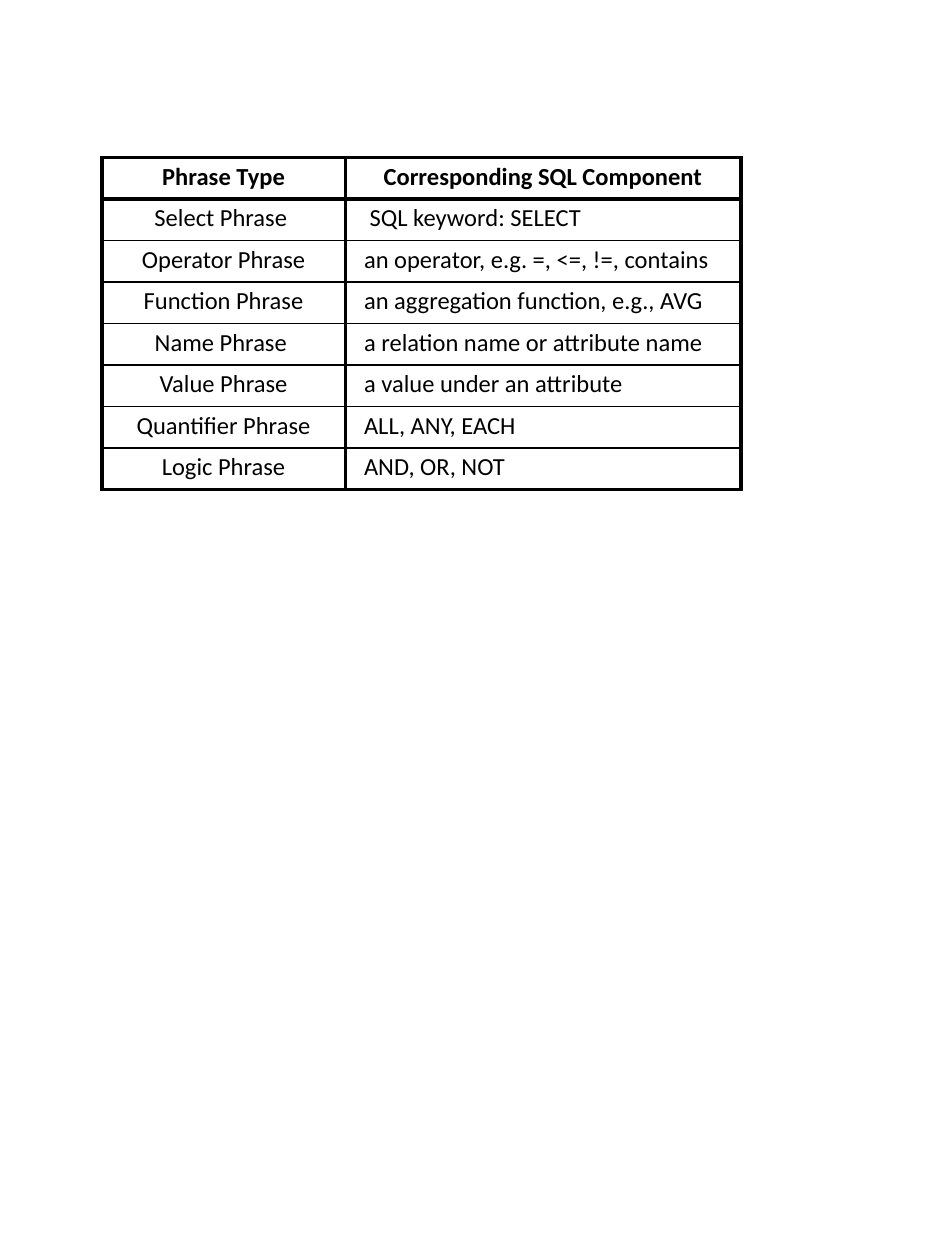
from typing import NamedTuple

from lxml.etree import SubElement
from pptx import Presentation
from pptx.dml.color import RGBColor
from pptx.enum.text import MSO_ANCHOR, PP_ALIGN
from pptx.oxml.ns import qn
from pptx.table import Table, _Cell
from pptx.util import Inches, Pt

BLACK = RGBColor(0, 0, 0)
WHITE = RGBColor(255, 255, 255)
FONT = "Calibri"
THICK, THIN = 2.25, 1
WIDTHS = (1.93, 3.14)
HEIGHT = 0.32
INSET = 0.07
INDENT = 0.08


class Phrase(NamedTuple):
    """One row: a phrase type and its SQL component."""
    kind: str
    part: str


ROWS = (
    Phrase("Phrase Type", "Corresponding SQL Component"),
    Phrase("Select Phrase ", " SQL keyword: SELECT"),
    Phrase("Operator Phrase", "an operator, e.g. =, <=, !=, contains"),
    Phrase("Function Phrase", "an aggregation function, e.g., AVG"),
    Phrase("Name Phrase ", "a relation name or attribute name"),
    Phrase("Value Phrase", "a value under an attribute"),
    Phrase("Quanti\ufb01er Phrase", "ALL, ANY, EACH"),
    Phrase("Logic Phrase", "AND, OR, NOT"),
)


def add_edge(cell: _Cell, side: str, width: float) -> None:
    """Draw one black border of a cell."""
    line = SubElement(cell._tc.get_or_add_tcPr(), qn(f"a:ln{side}"), w=str(Pt(width)))
    fill = SubElement(line, qn("a:solidFill"))
    SubElement(fill, qn("a:srgbClr"), val=str(BLACK))


def add_text(cell: _Cell, text: str, head: bool, mid: bool) -> None:
    """Write a cell's text, centred or indented."""
    para = cell.text_frame.paragraphs[0]
    para.line_spacing = 0.8
    para.alignment = PP_ALIGN.CENTER if mid else PP_ALIGN.LEFT
    if not mid:
        props = para._p.get_or_add_pPr()
        props.set("marL", str(Inches(INDENT)))
        props.set("indent", "0")
    run = para.add_run()
    run.text = text
    font = run.font
    font.name, font.size, font.bold = FONT, Pt(14), head
    font.color.rgb = BLACK


def fill_row(table: Table, row: int, phrase: Phrase) -> None:
    """Fill and frame one row of the table."""
    head, last = row == 0, row == len(ROWS) - 1
    table.rows[row].height = Inches(HEIGHT)
    edges = {"L": THICK, "R": THICK,
             "T": THICK if row <= 1 else THIN,
             "B": THICK if head or last else THIN}
    for col, text in enumerate(phrase):
        cell = table.cell(row, col)
        cell.margin_left = cell.margin_right = Inches(INSET)
        cell.margin_top = cell.margin_bottom = Inches(INSET)
        cell.vertical_anchor = MSO_ANCHOR.MIDDLE
        for side, width in edges.items():
            add_edge(cell, side, width)
        cell.fill.solid()
        cell.fill.fore_color.rgb = WHITE
        add_text(cell, text, head, head or col == 0)


def main() -> None:
    """Build the slide and save it."""
    deck = Presentation()
    deck.slide_width, deck.slide_height = Inches(7.5), Inches(10)
    slide = deck.slides.add_slide(deck.slide_layouts[6])
    table = slide.shapes.add_table(
        len(ROWS), len(WIDTHS), Inches(0.81), Inches(1.25),
        Inches(sum(WIDTHS)), Inches(HEIGHT * len(ROWS))).table
    for col, width in zip(table.columns, WIDTHS):
        col.width = Inches(width)
    for row, phrase in enumerate(ROWS):
        fill_row(table, row, phrase)
    deck.save("out.pptx")


main()
